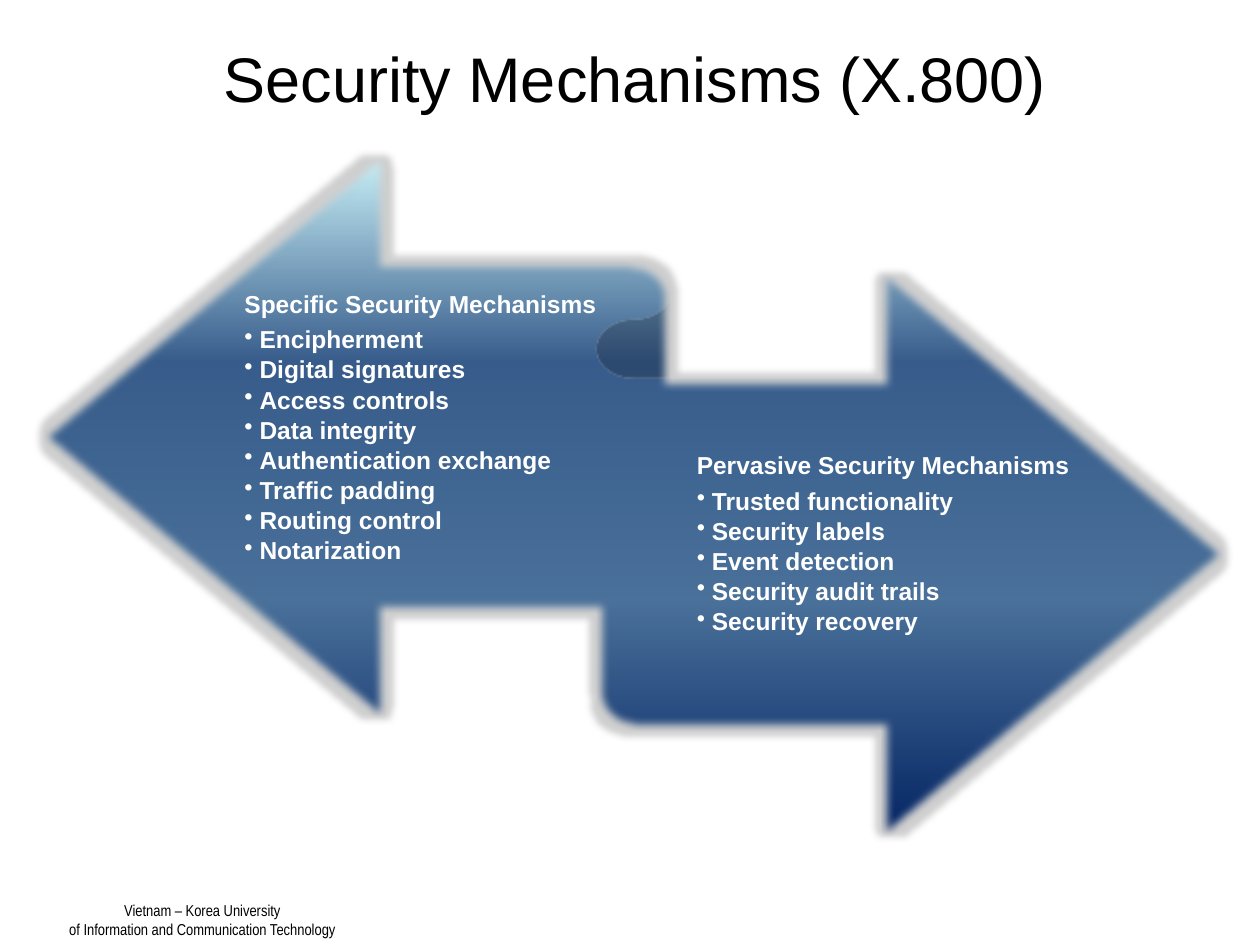
from lxml import etree
from pptx import Presentation
from pptx import util as u
from pptx.dml.color import RGBColor
from pptx.enum import shapes, text
from pptx.oxml import parse_xml
from pptx.oxml.ns import nsdecls, qn

HUES = {"ink": "000000", "light": "FFFFFF", "glow": "CFCFCF"}
RAMP = [(0, "002060"), (35, "4A719A"), (50, "416793"),
        (69, "375C8B"), (100, "D3FBFF")]
LISTS = [
    (1.94, 2.48, 3.13, "Specific Security Mechanisms",
     ["Encipherment", "Digital signatures", "Access controls",
      "Data integrity", "Authentication exchange", "Traffic padding",
      "Routing control", "Notarization"]),
    (5.53, 3.4, 3.71, "Pervasive Security Mechanisms",
     ["Trusted functionality", "Security labels", "Event detection",
      "Security audit trails", "Security recovery"]),
]


class Deck:
    def __init__(self):
        self.prs = Presentation()
        self.prs.slide_width = u.Inches(10)
        self.prs.slide_height = u.Inches(7.5)
        self.slide = self.prs.slides.add_slide(self.prs.slide_layouts[5])

    def style(self, para, size, hue, face="Arial", bold=False):
        font = para.font
        font.name, font.size, font.bold = face, u.Pt(size), bold
        font.color.rgb = RGBColor.from_string(HUES[hue])

    def title(self, words, *box):
        item = self.slide.shapes.title
        item.left, item.top, item.width, item.height = map(u.Inches, box)
        item.text_frame.text = words
        item.text_frame.vertical_anchor = text.MSO_ANCHOR.MIDDLE
        para = item.text_frame.paragraphs[0]
        para.alignment = text.PP_ALIGN.CENTER
        self.style(para, 36, "ink")

    def ribbon(self, *box):
        item = self.slide.shapes.add_shape(
            shapes.MSO_SHAPE.LEFT_RIGHT_RIBBON, *map(u.Inches, box))
        stops = "".join(
            f'<a:gs pos="{pos * 1000}"><a:srgbClr val="{hue}"/></a:gs>'
            for pos, hue in RAMP)
        props = item._element.spPr
        props.append(parse_xml(
            f'<a:gradFill {nsdecls("a")} rotWithShape="1">'
            f'<a:gsLst>{stops}</a:gsLst>'
            '<a:lin ang="16200000" scaled="0"/></a:gradFill>'))
        item.line.fill.background()
        item.shadow.inherit = False
        effects = props.find(qn("a:effectLst"))
        effects.append(parse_xml(
            f'<a:glow {nsdecls("a")} rad="{u.Inches(0.11)}">'
            f'<a:srgbClr val="{HUES["glow"]}"/></a:glow>'))
        etree.SubElement(effects, qn("a:softEdge"), rad=str(u.Pt(5)))

    def box(self, lines, *box):
        item = self.slide.shapes.add_textbox(*map(u.Inches, box))
        frame = item.text_frame
        frame.text = "\n".join(lines)
        return frame

    def bullets(self, left, top, width, head, points):
        frame = self.box([head, *points], left, top, width, 1.86)
        frame.word_wrap = True
        frame.vertical_anchor = text.MSO_ANCHOR.MIDDLE
        frame.margin_left = frame.margin_right = 0
        frame.margin_top, frame.margin_bottom = u.Inches(0.05), u.Inches(0.06)
        for row, para in enumerate(frame.paragraphs):
            para.line_spacing = 0.9
            props = para._p.get_or_add_pPr()
            after = etree.SubElement(props, qn("a:spcAft"))
            etree.SubElement(after, qn("a:spcPct"),
                             val="15000" if row else "35000")
            if row:
                para.level = 1
                props.set("marL", str(u.Inches(0.12)))
                props.set("indent", str(u.Inches(-0.12)))
                etree.SubElement(props, qn("a:buChar"), char="•")
            self.style(para, 14, "light", bold=True)

    def footer(self, lines, *box):
        frame = self.box(lines, *box)
        frame.word_wrap = False
        frame.auto_size = text.MSO_AUTO_SIZE.SHAPE_TO_FIT_TEXT
        for para in frame.paragraphs:
            para.alignment = text.PP_ALIGN.CENTER
            self.style(para, 9, "ink", "Arial Narrow")


def main():
    deck = Deck()
    deck.footer(["Vietnam – Korea University",
                 "of Information and Communication Technology"],
                0.43, 7.1, 2.35, 0.4)
    deck.title("Security Mechanisms (X.800)", 0.25, 0, 9.58, 1.23)
    deck.ribbon(0.28, 1.15, 9.5, 5.58)
    for group in LISTS:
        deck.bullets(*group)
    deck.prs.save("out.pptx")


if __name__ == "__main__":
    main()
